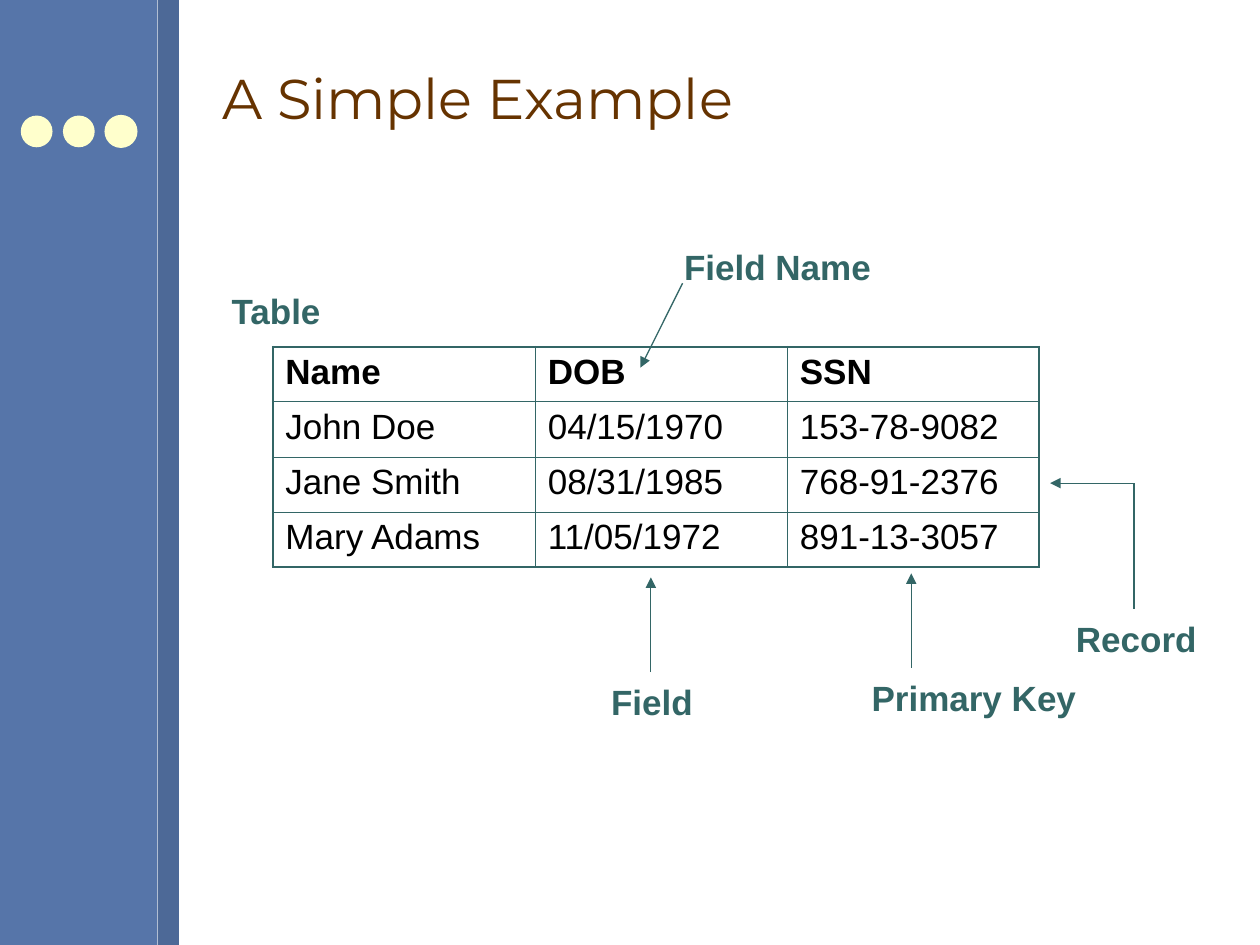
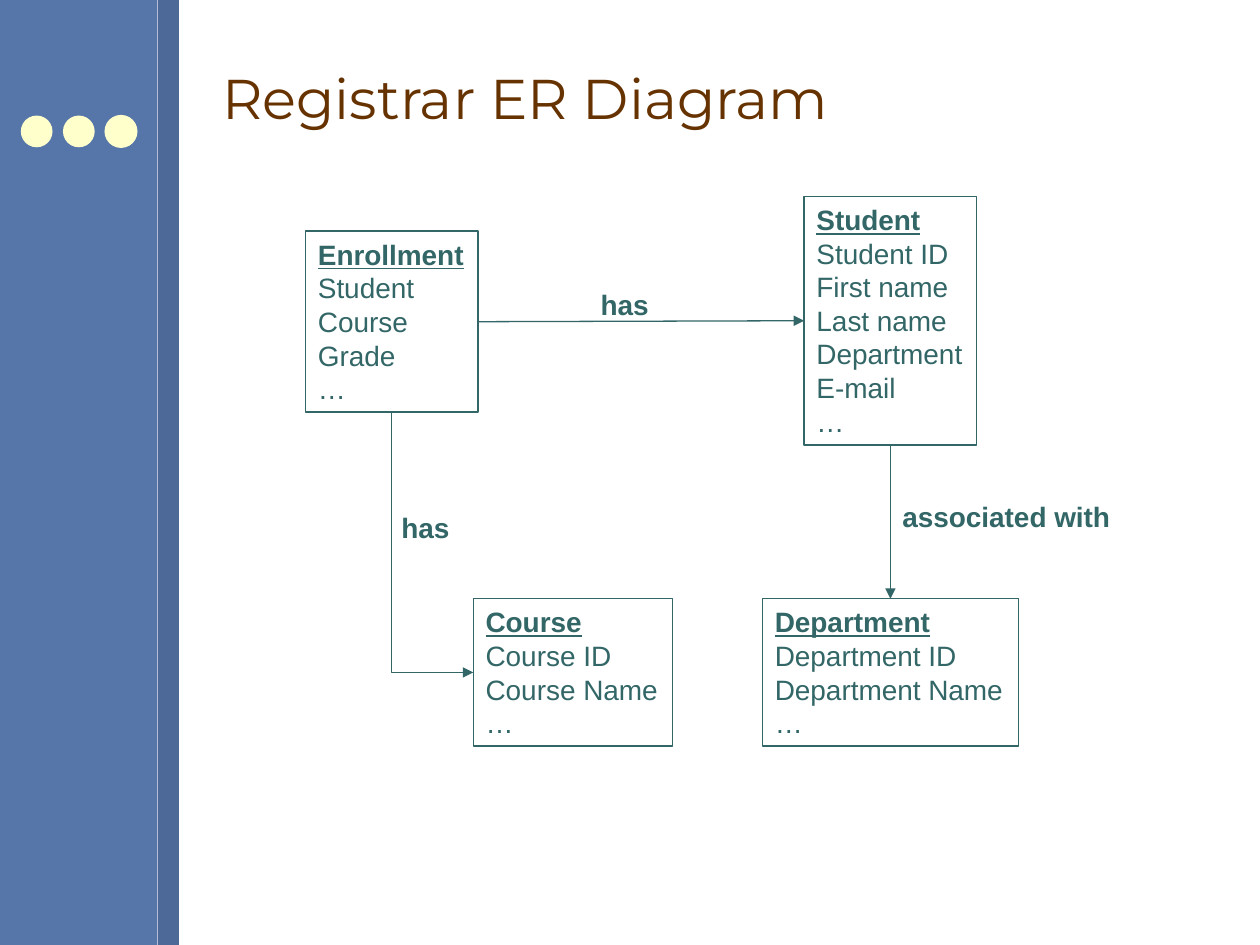
from dataclasses import dataclass

from lxml import etree
from pptx import Presentation
from pptx.dml.color import RGBColor
from pptx.enum.shapes import MSO_CONNECTOR, MSO_SHAPE
from pptx.enum.text import MSO_ANCHOR, MSO_AUTO_SIZE
from pptx.oxml.ns import qn
from pptx.util import Cm, Pt

RECT, OVAL = MSO_SHAPE.RECTANGLE, MSO_SHAPE.OVAL
LINE, ELBOW = MSO_CONNECTOR.STRAIGHT, MSO_CONNECTOR.ELBOW
MIDDLE = MSO_ANCHOR.MIDDLE
TOP, LEFT, BOTTOM, RIGHT = range(4)


@dataclass
class Theme:
    band: str = "5675A9"
    strip: str = "4D6997"
    dot: str = "FFFFCC"
    title: str = "663300"
    teal: str = "336666"
    black: str = "000000"
    sans: str = "Arial"
    head: str = "Montserrat"
    large: float = 32
    label: float = 20
    small: float = 16
    thin: float = 0.45
    rule: float = 0.75
    edge: float = 1.08


theme = Theme()
FIT = {"word_wrap": False, "auto_size": MSO_AUTO_SIZE.SHAPE_TO_FIT_TEXT}
TITLE = {"name": theme.head, "size": Pt(theme.large), "bold": False}
LABEL = {"name": theme.sans, "size": Pt(theme.label), "bold": True}
CELL = LABEL | {"bold": False}
NOTE = LABEL | {"size": Pt(theme.small)}
ENTITY = NOTE | {"underline": True}
FIELD = NOTE | {"bold": False}


def write(frame, rows, ink, setup):
    """Fill a text frame with (text, font format) rows."""
    for key, value in setup.items():
        setattr(frame, key, value)
    for i, (text, look) in enumerate(rows):
        para = frame.add_paragraph() if i else frame.paragraphs[0]
        run = para.add_run()
        run.text = text
        run.font.color.rgb = RGBColor.from_string(ink)
        for key, value in look.items():
            setattr(run.font, key, value)


def link(page, start, end, arrow=True, kind=LINE):
    """Draw a teal connector between two points in centimetres."""
    wire = page.shapes.add_connector(kind, *map(Cm, start + end))
    wire.line.color.rgb = RGBColor.from_string(theme.teal)
    wire.line.width = Pt(theme.rule)
    if arrow:
        etree.SubElement(wire.line._get_or_add_ln(), qn("a:tailEnd"), type="triangle")
    etree.SubElement(wire._element.spPr, qn("a:effectLst"))
    return wire


deck = Presentation()
deck.slide_width, deck.slide_height = Cm(25.4), Cm(19.05)

# Shared side band, dots and title
decor = [
    (RECT, 0, 0, 3.17, 19.05, theme.band),
    (RECT, 3.18, 0, 0.43, 19.05, theme.strip),
]
decor += [(OVAL, 0.42 + 0.85 * i, 2.33, 0.64, 0.64, theme.dot) for i in range(3)]
pages = []
for title in ("A Simple Example", "Registrar ER Diagram"):
    page = deck.slides.add_slide(deck.slide_layouts[6])
    for kind, *spot, tint in decor:
        shape = page.shapes.add_shape(kind, *map(Cm, spot))
        shape.shadow.inherit = False
        shape.fill.solid()
        shape.fill.fore_color.rgb = RGBColor.from_string(tint)
        shape.line.fill.background()
    # The last dot has an outline
    shape.line.color.rgb = RGBColor.from_string(theme.dot)
    shape.line.width = Pt(theme.rule)
    box = page.shapes.add_textbox(Cm(4.23), Cm(0.53), Cm(20.32), Cm(2.86))
    write(box.text_frame, [(title, TITLE)], theme.title,
          {"word_wrap": True, "vertical_anchor": MIDDLE})
    pages.append(page)
sample, diagram = pages

# People table
people = [
    ("Name", "DOB", "SSN"),
    ("John Doe", "04/15/1970", "153-78-9082"),
    ("Jane Smith", "08/31/1985", "768-91-2376"),
    ("Mary Adams", "11/05/1972", "891-13-3057"),
]
widths = (5.29, 5.08, 5.08)
rows, cols = len(people), len(widths)
grid = sample.shapes.add_table(rows, cols, Cm(5.5), Cm(6.99),
                               Cm(sum(widths)), Cm(1.11 * rows)).table
for col, width in zip(grid.columns, widths):
    col.width = Cm(width)
for r, person in enumerate(people):
    grid.rows[r].height = Cm(1.11)
    for c, text in enumerate(person):
        cell = grid.cell(r, c)
        write(cell.text_frame, [(text, CELL if r else LABEL)], theme.black, {})
        props = cell._tc.get_or_add_tcPr()
        outer = {"lnL": c == 0, "lnR": c == cols - 1,
                 "lnT": r == 0, "lnB": r == rows - 1}
        for side, edge in outer.items():
            size = Pt(theme.edge if edge else theme.thin)
            border = etree.SubElement(props, qn("a:" + side), w=str(size))
            fill = etree.SubElement(border, qn("a:solidFill"))
            etree.SubElement(fill, qn("a:srgbClr"), val=theme.teal)
        cell.fill.background()

# Pointers to the parts of the table
for start, end, arrow in [
    ((13.12, 13.55), (13.12, 11.64), True),
    ((13.76, 5.71), (12.91, 7.41), True),
    ((22.86, 9.74), (21.17, 9.74), True),
    ((22.86, 9.74), (22.86, 12.28), False),
    ((18.37, 13.46), (18.37, 11.56), True),
]:
    link(sample, start, end, arrow)

# Entity boxes
entities = {
    "Enrollment": (6.16, 4.66, 3.48, ["Student", "Course", "Grade"]),
    "Student": (16.21, 3.96, 3.48, ["Student ID", "First name", "Last name",
                                    "Department", "E-mail"]),
    "Course": (9.54, 12.07, 4.02, ["Course ID", "Course Name"]),
    "Department": (15.37, 12.07, 5.16, ["Department ID", "Department Name"]),
}
boxes = {}
for name, (left, top, width, fields) in entities.items():
    lines = [(name, ENTITY)] + [(field, FIELD) for field in fields + ["…"]]
    height = 0.25 + 0.68 * len(lines)
    box = diagram.shapes.add_textbox(Cm(left), Cm(top), Cm(width), Cm(height))
    box.line.color.rgb = RGBColor.from_string(theme.teal)
    box.line.width = Pt(theme.rule)
    write(box.text_frame, lines, theme.teal, FIT)
    boxes[name] = box

# Relations between entities
for source, out, target, into, kind in [
    ("Enrollment", RIGHT, "Student", LEFT, LINE),
    ("Student", BOTTOM, "Department", TOP, LINE),
    ("Enrollment", BOTTOM, "Course", LEFT, ELBOW),
]:
    wire = link(diagram, (0, 0), (0, 0), kind=kind)
    wire.begin_connect(boxes[source], out)
    wire.end_connect(boxes[target], into)

# Turn the elbow so that it runs down first, then right
wide, high = wire.width, wire.height
wire.left += (wide - high) // 2
wire.top += (high - wide) // 2
wire.width, wire.height = high, wide
frame = wire._element.spPr.find(qn("a:xfrm"))
frame.set("rot", "16200000")
frame.set("flipH", "1")
wire._element.spPr.find(qn("a:prstGeom")).set("prst", "bentConnector2")

# Labels of both slides
for page, look, height, labels in [
    (sample, LABEL, 1.11, [
        ("Field", 12.07, 13.59, 2.25),
        ("Field Name", 13.54, 4.83, 4.4),
        ("Record", 21.44, 12.32, 3.05),
        ("Primary Key", 17.32, 13.51, 4.75),
        ("Table", 4.42, 5.71, 2.45),
    ]),
    (diagram, NOTE, 0.93, [
        ("has", 11.86, 5.68, 1.55),
        ("has", 7.84, 10.16, 1.55),
        ("associated with", 17.94, 9.94, 4.8),
    ]),
]:
    for text, left, top, width in labels:
        box = page.shapes.add_textbox(Cm(left), Cm(top), Cm(width), Cm(height))
        write(box.text_frame, [(text, look)], theme.teal, FIT)

deck.save("out.pptx")
